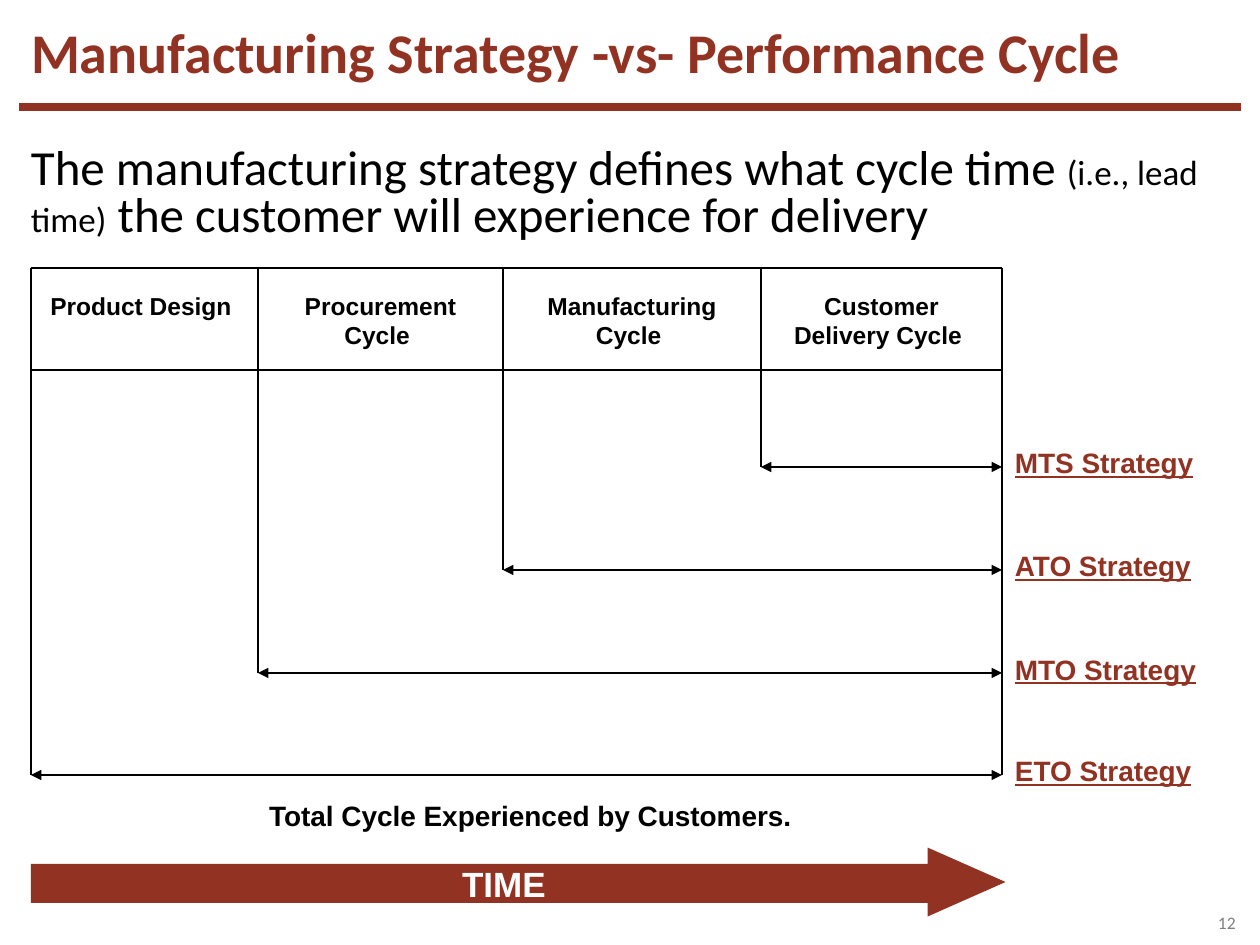
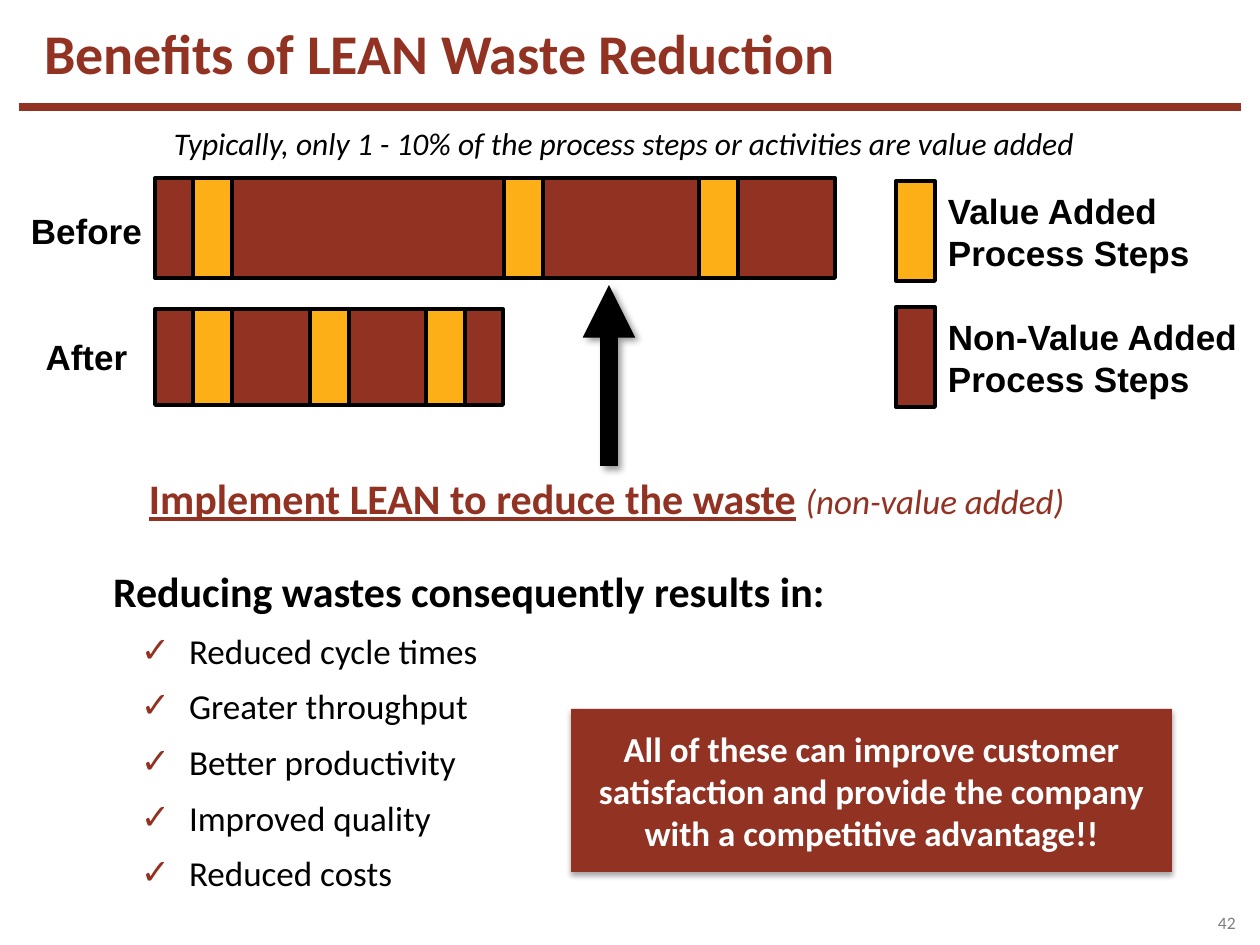
import lxml.etree
import pptx
import pptx.dml.color
import pptx.enum.shapes
import pptx.enum.text
import pptx.oxml.ns
import pptx.util

EMU_PER_PX = 914400 / 126
BRICK = pptx.dml.color.RGBColor(0x92, 0x32, 0x22)
AMBER = pptx.dml.color.RGBColor(0xFC, 0xAF, 0x17)
BLACK = pptx.dml.color.RGBColor(0, 0, 0)
WHITE = pptx.dml.color.RGBColor(0xFF, 0xFF, 0xFF)
GRAY = pptx.dml.color.RGBColor(0x7F, 0x7F, 0x7F)

ALIGN = pptx.enum.text.PP_ALIGN
ANCHOR = pptx.enum.text.MSO_ANCHOR
SHAPE = pptx.enum.shapes.MSO_SHAPE

TITLE = {"name": "Calibri", "size": 32, "bold": True, "color": BRICK}
BODY = {"name": "Calibri", "size": 20, "bold": False, "color": BLACK}
LABEL = {"name": "Arial", "size": 20, "bold": True, "color": BLACK}
DEFAULT_INSETS = (13, 6, 13, 6)
NO_INSETS = (0, 0, 0, 0)


def px(length):
    """Turn pixels into EMU."""
    return pptx.util.Emu(round(length * EMU_PER_PX))


def add_xml(parent, tag, **attributes):
    """Append a drawing element with the given attributes."""
    values = {name: str(value) for name, value in attributes.items()}
    return lxml.etree.SubElement(parent, pptx.oxml.ns.qn(tag), values)


def set_values(target, values):
    """Set each named attribute on the target."""
    for name, value in values.items():
        setattr(target, name, value)


def set_font(font, look):
    """Apply a look to a font."""
    values = dict(look)
    font.color.rgb = values.pop("color")
    values["size"] = pptx.util.Pt(values["size"])
    set_values(font, values)


def write(box, lines, look, align=ALIGN.LEFT, spacing=1.0, wrap=True,
          anchor=ANCHOR.TOP, insets=DEFAULT_INSETS):
    """Fill a shape with paragraphs, each a string or a list of spans."""
    frame = box.text_frame
    sides = ("margin_left", "margin_top", "margin_right", "margin_bottom")
    set_values(frame, dict(zip(sides, map(px, insets))))
    set_values(frame, {"auto_size": pptx.enum.text.MSO_AUTO_SIZE.NONE,
                       "word_wrap": wrap, "vertical_anchor": anchor})
    for index, line in enumerate(lines):
        para = frame.add_paragraph() if index else frame.paragraphs[0]
        set_values(para, {"alignment": align, "line_spacing": spacing})
        for text, changes in [(line, {})] if isinstance(line, str) else line:
            span = para.add_run()
            span.text = text
            set_font(span.font, {**look, **changes})


def add_text(page, box, lines, look, **layout):
    """Add a text box at a pixel box."""
    write(page.shapes.add_textbox(*map(px, box)), lines, look, **layout)


def fill_placeholder(holder, box, lines, look, **layout):
    """Move a placeholder to a pixel box and write in it."""
    set_values(holder, dict(zip(("left", "top", "width", "height"), map(px, box))))
    write(holder, lines, look, **layout)


def add_shadow(effects, opacity, blur, distance, angle):
    """Add an outer black shadow to an effect list."""
    shadow = add_xml(effects, "a:outerShdw", blurRad=pptx.util.Pt(blur),
                     dist=pptx.util.Pt(distance), dir=angle * 60000,
                     algn="tl", rotWithShape=0)
    color = add_xml(shadow, "a:srgbClr", val=BLACK)
    add_xml(color, "a:alpha", val=opacity * 1000)


def add_line(page, start, end, color=BLACK, width=0.75, ends=()):
    """Add a straight line with optional arrowheads and return its effect list."""
    line = page.shapes.add_connector(
        pptx.enum.shapes.MSO_CONNECTOR.STRAIGHT, *map(px, (*start, *end)))
    line.line.color.rgb = color
    line.line.width = pptx.util.Pt(width)
    properties = line.element.spPr
    for tag in ends:
        add_xml(properties.find(pptx.oxml.ns.qn("a:ln")), tag, type="triangle")
    return add_xml(properties, "a:effectLst")


def add_block(page, box, fill, kind=SHAPE.RECTANGLE, outline=None):
    """Add a filled shape, outlined only when a width is given."""
    block = page.shapes.add_shape(kind, *map(px, box))
    block.shadow.inherit = False
    block.fill.solid()
    block.fill.fore_color.rgb = fill
    if outline:
        block.line.color.rgb = BLACK
        block.line.width = pptx.util.Pt(outline)
    else:
        block.line.fill.background()
    return block


def add_page(deck, layout, number, title, box, **title_layout):
    """Add a slide with its title, rule and page number."""
    page = deck.slides.add_slide(deck.slide_layouts.get_by_name(layout))
    fill_placeholder(page.shapes.title, box, [title], TITLE,
                     anchor=ANCHOR.MIDDLE, **title_layout)
    add_line(page, (19, 107), (1241, 107), BRICK, 4.5)
    add_text(page, (1218, 911, 33, 23), [number], {**BODY, "size": 10, "color": GRAY},
             anchor=ANCHOR.MIDDLE, insets=NO_INSETS)
    return page


def add_cycle_chart(page):
    """Draw the cycle columns and the span that each strategy covers."""
    top, header, right = 268, 370, 1002
    cycles = [
        (31, ["Product Design "], "ETO Strategy"),
        (258, ["Procurement Cycle "], "MTO Strategy"),
        (503, ["Manufacturing Cycle "], "ATO Strategy"),
        (761, ["Customer", "Delivery Cycle "], "MTS Strategy"),
    ]
    edges = [left for left, _, _ in cycles] + [right]
    for y in (top, header):
        add_line(page, (edges[0], y), (right, y))
    for index, (left, heading, strategy) in enumerate(cycles):
        bottom = 775 - 308 * index // 3
        add_line(page, (left, top), (left, bottom))
        add_line(page, (left, bottom), (right, bottom), ends=("a:headEnd", "a:tailEnd"))
        add_text(page, (left, 285, edges[index + 1] - left, 83), heading,
                 {**LABEL, "size": 14}, align=ALIGN.CENTER)
        add_text(page, (right, bottom - 27, 227, 47), [strategy],
                 {**LABEL, "size": 16, "color": BRICK, "underline": True})
    add_line(page, (right, top), (right, 775))
    add_text(page, (233, 793, 595, 58), ["Total Cycle Experienced by Customers."],
             {**LABEL, "size": 16}, align=ALIGN.CENTER, wrap=False)


def add_time_arrow(page):
    """Draw the time band with its arrow tip."""
    band = add_block(page, (31, 864, 897, 39), BRICK)
    write(band, ["TIME"], {**LABEL, "color": WHITE}, align=ALIGN.CENTER,
          anchor=ANCHOR.MIDDLE, insets=(49, 6, 0, 6))
    tip = add_block(page, (932, 843, 69, 78), BRICK, SHAPE.ISOSCELES_TRIANGLE)
    tip.rotation = 90


def add_process_bar(page, box, step_lefts):
    """Draw a process bar with its value-added steps."""
    _, top, _, height = box
    add_block(page, box, BRICK, outline=2.25)
    for left in step_lefts:
        add_block(page, (left, top, 39, height), AMBER, outline=2.25)


def add_legend_entry(page, top, color, name):
    """Draw a legend swatch with its two-line name."""
    add_block(page, (896, top, 39, 100), color, outline=2.25)
    add_text(page, (935, top + 2, 318, 97), [name, "Process Steps"], LABEL, wrap=False)


def format_checklist(holder):
    """Indent the list and give every item after the heading a check mark."""
    for index, para in enumerate(holder.text_frame.paragraphs):
        para.space_before = pptx.util.Pt(3 if index else 0)
        properties = para._p.get_or_add_pPr()
        margin, hanging = (76, 48) if index else (27, 27)
        properties.set("marL", str(px(margin)))
        properties.set("indent", str(px(-hanging)))
        if index:
            add_xml(add_xml(properties, "a:buClr"), "a:srgbClr", val=BRICK)
            add_xml(properties, "a:buChar", char="✓")
        else:
            add_xml(properties, "a:buNone")


def build_strategy_page(deck):
    """Build the manufacturing strategy slide."""
    page = add_page(deck, "Title Only", "12", "Manufacturing Strategy -vs- Performance Cycle",
                    (31, 30, 1197, 55), spacing=0.8, insets=NO_INSETS)
    statement = [
        ("The manufacturing strategy defines what cycle time ", {}),
        ("(i.e., lead time)", {"size": 20}),
        (" the customer will experience for delivery", {}),
    ]
    add_text(page, (31, 147, 1197, 96), [statement], {**BODY, "size": 28},
             spacing=0.8, anchor=ANCHOR.MIDDLE, insets=NO_INSETS)
    add_cycle_chart(page)
    add_time_arrow(page)


def build_benefits_page(deck):
    """Build the waste reduction slide."""
    page = add_page(deck, "Title and Content", "42", "Benefits of LEAN Waste Reduction",
                    (31, 24, 1163, 57))
    add_text(page, (161, 118, 998, 50),
             ["Typically, only 1 - 10% of the process steps or activities are value added"],
             {**BODY, "size": 18, "italic": True})

    add_process_bar(page, (155, 178, 680, 100), (193, 504, 699))
    add_process_bar(page, (155, 309, 348, 96), (193, 310, 426))
    for name, top in (("Before", 203), ("After", 329)):
        add_text(page, (18, top, 137, 55), [name], LABEL, align=ALIGN.CENTER, wrap=False)
    add_legend_entry(page, 181, AMBER, "Value Added")
    add_legend_entry(page, 307, BRICK, "Non-Value Added")

    effects = add_line(page, (609, 466), (609, 285), width=10, ends=("a:tailEnd",))
    add_shadow(effects, 40, 4, 3, 45)
    action = [
        ("Implement LEAN to reduce the waste", {"underline": True}),
        (" ", {}),
        ("(non-value added)", {"size": 20, "bold": False, "italic": True}),
    ]
    add_text(page, (136, 467, 948, 63), [action], {**TITLE, "size": 24})

    heading = [("Reducing wastes consequently results in:", {"size": 24, "bold": True})]
    results = ["Reduced cycle times", "Greater throughput", "Better productivity",
               "Improved quality", "Reduced costs"]
    checklist = page.placeholders[1]
    fill_placeholder(checklist, (100, 549, 755, 347), [heading, *results], BODY, spacing=1.2)
    format_checklist(checklist)

    callout = add_block(page, (571, 709, 601, 163), BRICK)
    add_shadow(callout.element.spPr.find(pptx.oxml.ns.qn("a:effectLst")), 35, 3.1, 1.8, 90)
    write(callout, ["All of these can improve customer satisfaction and provide "
                    "the company with a competitive advantage!!"],
          {**BODY, "bold": True, "color": WHITE}, align=ALIGN.CENTER, anchor=ANCHOR.MIDDLE)


def main():
    """Build and save the deck."""
    deck = pptx.Presentation()
    set_values(deck, {"slide_width": px(1260), "slide_height": px(945)})
    build_strategy_page(deck)
    build_benefits_page(deck)
    deck.save("out.pptx")


if __name__ == "__main__":
    main()
